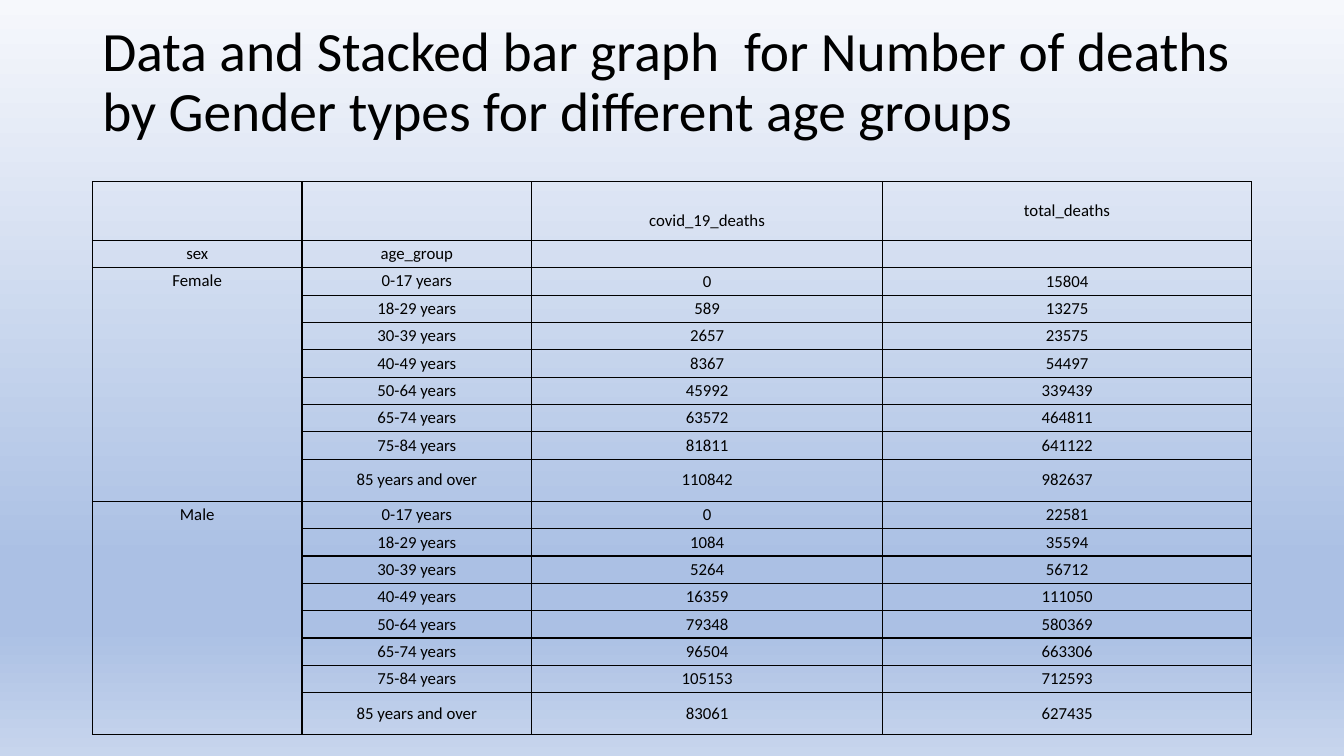
from lxml.etree import SubElement
from pptx import Presentation
from pptx.dml.color import RGBColor
from pptx.enum.text import MSO_ANCHOR as Anchor, PP_ALIGN as Align
from pptx.oxml.ns import qn
from pptx.util import Cm, Pt

COLOURS = {"ink": "000000", "pale": "F6F8FC", "blue": "ABC0E4", "mist": "C7D5ED"}
BACKGROUND_STOPS = [(0, "pale"), (74, "blue"), (83, "blue"), (100, "mist")]
TITLE = "Data and Stacked bar graph  for Number of deaths by Gender types for different age groups"

AGE_GROUPS = ["0-17 years", "18-29 years", "30-39 years", "40-49 years",
              "50-64 years", "65-74 years", "75-84 years", "85 years and over"]
DEATHS = {
    "Female": {
        "covid": [0, 589, 2657, 8367, 45992, 63572, 81811, 110842],
        "total": [15804, 13275, 23575, 54497, 339439, 464811, 641122, 982637],
    },
    "Male": {
        "covid": [0, 1084, 5264, 16359, 79348, 96504, 105153, 83061],
        "total": [22581, 35594, 56712, 111050, 580369, 663306, 712593, 627435],
    },
}
COLUMN_WIDTHS = [5.28, 5.79, 8.84, 9.3]
HEADER_HEIGHT, ROW_HEIGHT, LAST_GROUP_HEIGHT = 1.48, 0.69, 1.06
CELL_FORMAT = {"margin_left": Cm(0.15), "margin_right": Cm(0.15),
               "margin_top": Cm(0.08), "margin_bottom": Cm(0.08)}
TITLE_FORMAT = {"word_wrap": True, "vertical_anchor": Anchor.MIDDLE,
                "margin_left": Cm(0.25), "margin_right": Cm(0.25),
                "margin_top": Cm(0.13), "margin_bottom": Cm(1.63)}


def write(para, text, size):
    span = para.add_run()
    span.text = text
    span.font.name = "Calibri"
    span.font.size = Pt(size)
    span.font.color.rgb = RGBColor.from_string(COLOURS["ink"])


def add_borders(cell):
    properties = cell._tc.get_or_add_tcPr()
    for position, side in enumerate(["a:lnL", "a:lnR", "a:lnT", "a:lnB"]):
        line = SubElement(properties, qn(side), w=str(Pt(1)))
        fill = SubElement(line, qn("a:solidFill"))
        SubElement(fill, qn("a:srgbClr"), val=COLOURS["ink"])
        properties.insert(position, line)


deck = Presentation()
deck.slide_width, deck.slide_height = Cm(33.87), Cm(19.05)
page = deck.slides.add_slide(deck.slide_layouts[6])

# Background
background = page.background.fill
background.gradient()
background.gradient_angle = 270
stops = page.element.find(".//" + qn("a:gsLst"))
for stop in list(stops):
    stops.remove(stop)
for percent, colour in BACKGROUND_STOPS:
    stop = SubElement(stops, qn("a:gs"), pos=str(percent * 1000))
    SubElement(stop, qn("a:srgbClr"), val=COLOURS[colour])

# Title
box = page.shapes.add_textbox(Cm(2.33), Cm(1.01), Cm(29.21), Cm(3.68))
for name, value in TITLE_FORMAT.items():
    setattr(box.text_frame, name, value)
title = box.text_frame.paragraphs[0]
title.line_spacing = 0.9
write(title, TITLE, 39.6)

# Table of deaths
rows = [["", "", "covid_19_deaths", "total_deaths"], ["sex", "age_group", "", ""]]
heights = [HEADER_HEIGHT, ROW_HEIGHT]
for sex, counts in DEATHS.items():
    for age, covid, total in zip(AGE_GROUPS, counts["covid"], counts["total"]):
        rows.append([sex if age == AGE_GROUPS[0] else "", age, str(covid), str(total)])
        heights.append(LAST_GROUP_HEIGHT if age == AGE_GROUPS[-1] else ROW_HEIGHT)

table = page.shapes.add_table(len(rows), len(COLUMN_WIDTHS), Cm(2.33), Cm(4.58),
                              Cm(sum(COLUMN_WIDTHS)), Cm(sum(heights))).table
table.first_row = table.horz_banding = False
for column, width in zip(table.columns, COLUMN_WIDTHS):
    column.width = Cm(width)
for row, height in zip(table.rows, heights):
    row.height = Cm(height)

for row, texts in zip(table.rows, rows):
    for cell, text in zip(row.cells, texts):
        for name, value in CELL_FORMAT.items():
            setattr(cell, name, value)
        at_top = text in DEATHS or text == AGE_GROUPS[0]
        cell.vertical_anchor = Anchor.TOP if at_top else Anchor.MIDDLE
        cell.fill.background()
        add_borders(cell)
        para = cell.text_frame.paragraphs[0]
        para.alignment = Align.CENTER
        if text:
            write(para, text, 12)
        else:
            SubElement(para._p, qn("a:endParaRPr"), sz="1200")

table.cell(0, 2).margin_top = Cm(0.58)
for index in range(len(DEATHS)):
    first = 2 + index * len(AGE_GROUPS)
    table.cell(first, 0).merge(table.cell(first + len(AGE_GROUPS) - 1, 0))

deck.save("out.pptx")
